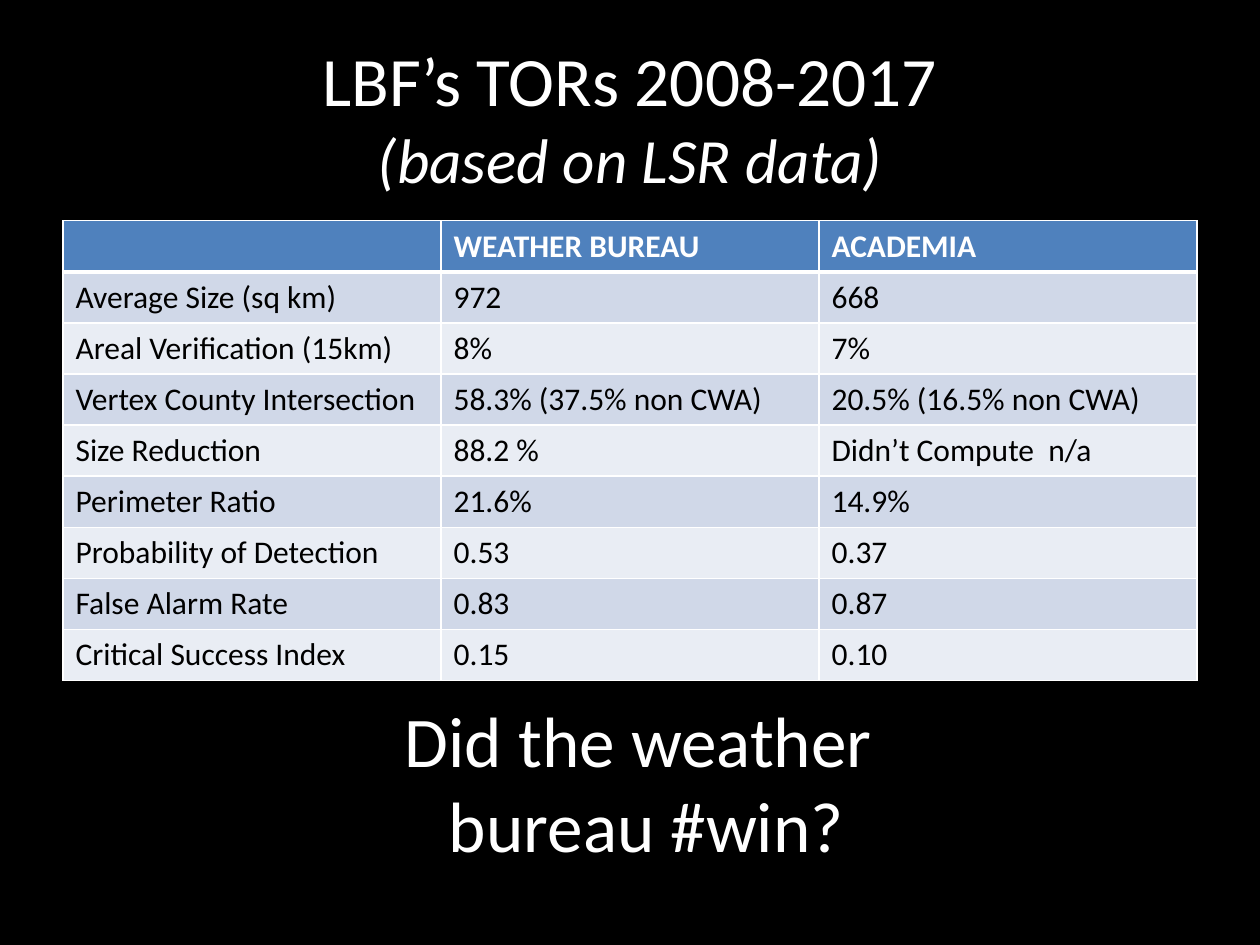
from dataclasses import dataclass

from lxml import etree
from pptx import Presentation
from pptx import util as u
from pptx.dml.color import RGBColor
from pptx.enum import text
from pptx.oxml import ns

BLACK = RGBColor(0x00, 0x00, 0x00)
WHITE = RGBColor(0xFF, 0xFF, 0xFF)
HEADER_BLUE = RGBColor(0x4F, 0x81, 0xBD)
BAND_DARK = RGBColor(0xD0, 0xD8, 0xE8)
BAND_LIGHT = RGBColor(0xE9, 0xED, 0xF4)
FONT = "Calibri"

ROWS = [
    ("", "WEATHER BUREAU", "ACADEMIA"),
    ("Average Size (sq km)", "972", "668"),
    ("Areal Verification (15km)", "8%", "7%"),
    ("Vertex County Intersection", "58.3% (37.5% non CWA)", "20.5% (16.5% non CWA)"),
    ("Size Reduction", "88.2 %", "Didn’t Compute  n/a"),
    ("Perimeter Ratio", "21.6%", "14.9%"),
    ("Probability of Detection", "0.53", "0.37"),
    ("False Alarm Rate", "0.83", "0.87"),
    ("Critical Success Index", "0.15", "0.10"),
]


@dataclass(frozen=True)
class Line:
    content: str
    size: float
    italic: bool = False


@dataclass(frozen=True)
class Heading:
    left: float
    top: float
    lines: tuple[Line, ...]
    width: float = 22.86
    height: float = 3.18


HEADINGS = [
    Heading(1.27, 0.76, (Line("LBF’s TORs 2008-2017", 39.6),
                         Line("(based on LSR data)", 36, italic=True))),
    Heading(1.6, 14.17, (Line("Did the weather ", 40.7), Line("bureau #win?", 40.7))),
]


def set_format(target, values: dict) -> None:
    for name, value in values.items():
        setattr(target, name, value)


def format_font(font, size: float, color: RGBColor, **extra) -> None:
    set_format(font, {"name": FONT, "size": u.Pt(size), **extra})
    font.color.rgb = color


def draw_heading(slide, heading: Heading) -> None:
    box = slide.shapes.add_textbox(*map(u.Cm, (heading.left, heading.top,
                                               heading.width, heading.height)))
    frame = box.text_frame
    set_format(frame, {"word_wrap": True, "vertical_anchor": text.MSO_ANCHOR.MIDDLE})
    for index, line in enumerate(heading.lines):
        paragraph = frame.add_paragraph() if index else frame.paragraphs[0]
        paragraph.alignment = text.PP_ALIGN.CENTER
        run = paragraph.add_run()
        run.text = line.content
        format_font(run.font, line.size, WHITE, italic=line.italic)


def add_borders(cell, widths: dict[str, float]) -> None:
    """Borders must come before the fill inside the cell properties."""
    properties = cell._tc.get_or_add_tcPr()
    for index, (side, width) in enumerate(widths.items()):
        border = etree.Element(ns.qn(f"a:{side}"), w=str(u.Pt(width)))
        fill = etree.SubElement(border, ns.qn("a:solidFill"))
        etree.SubElement(fill, ns.qn("a:srgbClr"), val=str(WHITE))
        properties.insert(index, border)


def draw_table(slide, rows: list[tuple[str, ...]]) -> None:
    row_height = u.Cm(1.03)
    table = slide.shapes.add_table(len(rows), len(rows[0]), u.Cm(1.27), u.Cm(4.45),
                                   u.Cm(22.86), row_height * len(rows)).table
    for row_index, values in enumerate(rows):
        is_header = row_index == 0
        band = BAND_DARK if row_index % 2 else BAND_LIGHT
        widths = {"lnL": 1, "lnR": 1, "lnT": 3 if row_index == 1 else 1,
                  "lnB": 3 if is_header else 1}
        for column, value in enumerate(values):
            cell = table.cell(row_index, column)
            cell.fill.solid()
            cell.fill.fore_color.rgb = HEADER_BLUE if is_header else band
            add_borders(cell, widths)
            cell.text = value
            for run in cell.text_frame.paragraphs[0].runs:
                format_font(run.font, 18, WHITE if is_header else BLACK, bold=is_header)


def main() -> None:
    deck = Presentation()
    set_format(deck, {"slide_width": u.Cm(25.4), "slide_height": u.Cm(19.05)})
    slide = deck.slides.add_slide(deck.slide_layouts[6])
    slide.background.fill.solid()
    slide.background.fill.fore_color.rgb = BLACK

    # Title above and question below the table
    for heading in HEADINGS:
        draw_heading(slide, heading)

    # Comparison of the two forecasters
    draw_table(slide, ROWS)

    deck.save("out.pptx")


if __name__ == "__main__":
    main()
